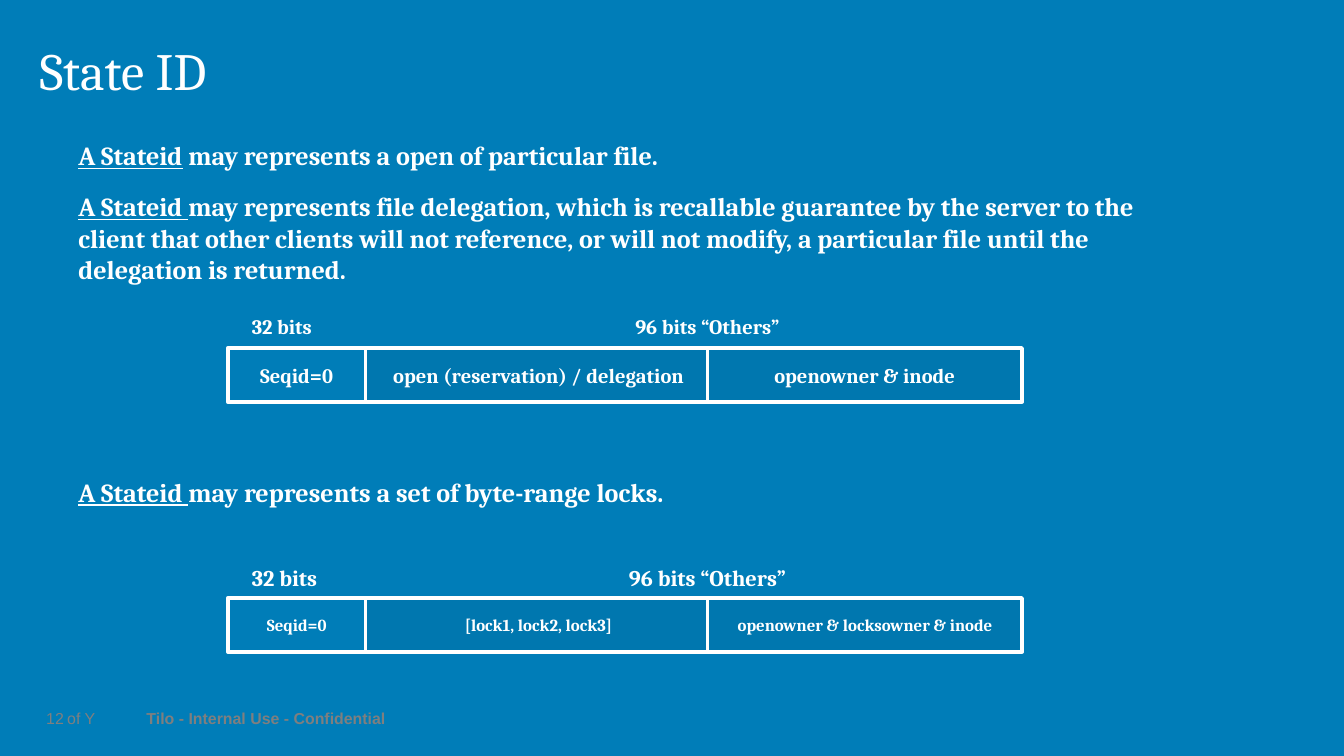
from pptx import Presentation
from pptx.dml.color import RGBColor
from pptx.enum.shapes import MSO_SHAPE
from pptx.enum.text import MSO_ANCHOR, MSO_AUTO_SIZE, PP_ALIGN
from pptx.util import Emu, Pt

PX = 4572  # 200 px to the inch
RECTANGLE = MSO_SHAPE.RECTANGLE
TOP, MIDDLE = MSO_ANCHOR.TOP, MSO_ANCHOR.MIDDLE
LEFT, CENTER, RIGHT = PP_ALIGN.LEFT, PP_ALIGN.CENTER, PP_ALIGN.RIGHT
GROW, FIXED = MSO_AUTO_SIZE.SHAPE_TO_FIT_TEXT, MSO_AUTO_SIZE.NONE

BLUE, CELL_BLUE, WHITE, GRAY = "007DB8", "0077AF", "FFFFFF", "7F7F7F"
SERIF, SANS = "Cambria", "Arial"


def color(hex_string):
    return RGBColor.from_string(hex_string)


def px(*lengths):
    return [Emu(length * PX) for length in lengths]


class StateSlide:
    def __init__(self, deck):
        self.slide = deck.slides.add_slide(deck.slide_layouts[6])
        fill = self.slide.background.fill
        fill.solid()
        fill.fore_color.rgb = color(BLUE)

    def style(self, span, size, font=SERIF, ink=WHITE, bold=True):
        span.font.size = Pt(size)
        span.font.name = font
        span.font.bold = bold
        span.font.color.rgb = color(ink)

    def text(self, area, words, size, align=LEFT, wrap=True, insets=(20, 10),
             anchor=TOP, spacing=1.0, fit=GROW, **look):
        box = self.slide.shapes.add_textbox(*px(*area))
        frame = box.text_frame
        frame.word_wrap = wrap
        frame.auto_size = fit
        frame.vertical_anchor = anchor
        frame.margin_left, frame.margin_top = px(*insets)
        frame.margin_right, frame.margin_bottom = px(*insets)
        para = frame.paragraphs[0]
        para.text = words
        para.alignment = align
        para.line_spacing = spacing
        self.style(para.runs[0], size, **look)
        return para

    def statement(self, area, lead, rest):
        para = self.text(area, lead, 14)
        para.runs[0].font.underline = True
        span = para.add_run()
        span.text = rest
        self.style(span, 14)

    def footer(self, area, words, align=LEFT, bold=False):
        self.text(area, words, 8.5, align, wrap=False, insets=(0, 0), anchor=MIDDLE,
                  spacing=0.9, font=SANS, ink=GRAY, bold=bold)

    def cell(self, area, words, size, fill):
        box = self.slide.shapes.add_shape(RECTANGLE, *px(*area))
        box.shadow.inherit = False
        if fill:
            box.fill.solid()
            box.fill.fore_color.rgb = color(fill)
        else:
            box.fill.background()
        box.line.color.rgb = color(WHITE)
        box.line.width = Pt(2)
        frame = box.text_frame
        frame.word_wrap = True
        frame.vertical_anchor = MIDDLE
        frame.text = words
        para = frame.paragraphs[0]
        para.alignment = CENTER
        self.style(para.runs[0], size)

    def layout_row(self, top, fields, cell_size, label_size):
        left = 339
        for words, width, fill in zip(fields, (205, 509, 468), (None, CELL_BLUE, CELL_BLUE)):
            self.cell((left, top, width, 80), words, cell_size, fill)
            left += width
        self.text((355, top - 60, 174, 60), "32 bits", label_size)
        self.text((893, top - 60, 320, 60), "96 bits “Others”", label_size, CENTER)


def main():
    deck = Presentation()
    deck.slide_width, deck.slide_height = px(2000, 1125)
    page = StateSlide(deck)

    # Footer
    page.footer((218, 1058, 360, 26), "Tilo - Internal Use - Confidential", bold=True)
    page.footer((65, 1058, 30, 26), "12", RIGHT)
    page.footer((100, 1058, 42, 26), "of Y")

    # Title
    page.text((59, 58, 1740, 140), "State ID", 28, insets=(0, 10), spacing=0.9,
              fit=FIXED, bold=False)

    # Open and delegation
    page.statement((97, 198, 1686, 114), "A Stateid",
                   " may represents a open of particular file.")
    page.statement((97, 274, 1686, 162), "A Stateid ",
                   "may represents file delegation, which is recallable guarantee by the server "
                   "to the client that other clients will not reference, or will not modify, "
                   "a particular file until the delegation is returned.")
    page.layout_row(518, ("Seqid=0", " open (reservation) / delegation",
                          "openowner & inode"), 11, 11)

    # Byte-range locks
    page.statement((97, 699, 1450, 68), "A Stateid ",
                   "may represents a set of byte-range locks.")
    page.layout_row(890, ("Seqid=0", " [lock1, lock2, lock3]",
                          "openowner & locksowner & inode"), 9, 12)

    deck.save("out.pptx")


if __name__ == "__main__":
    main()
